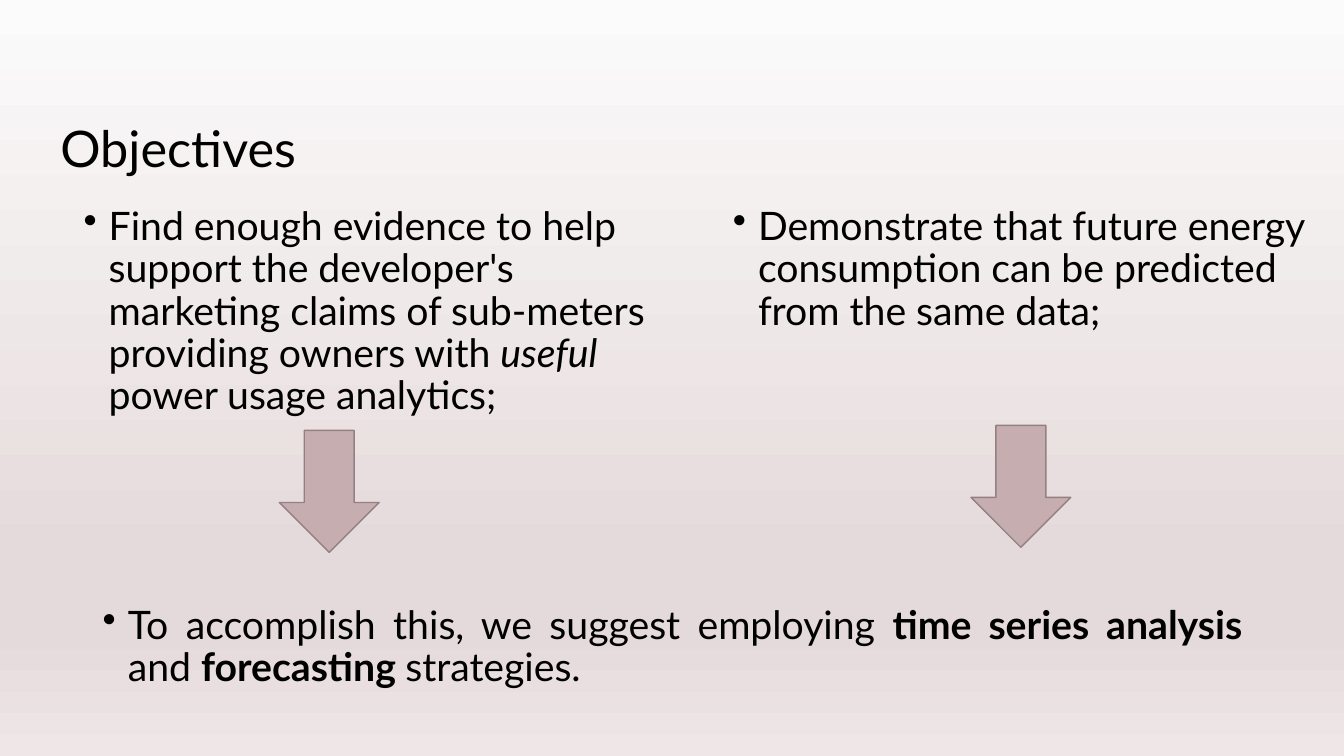
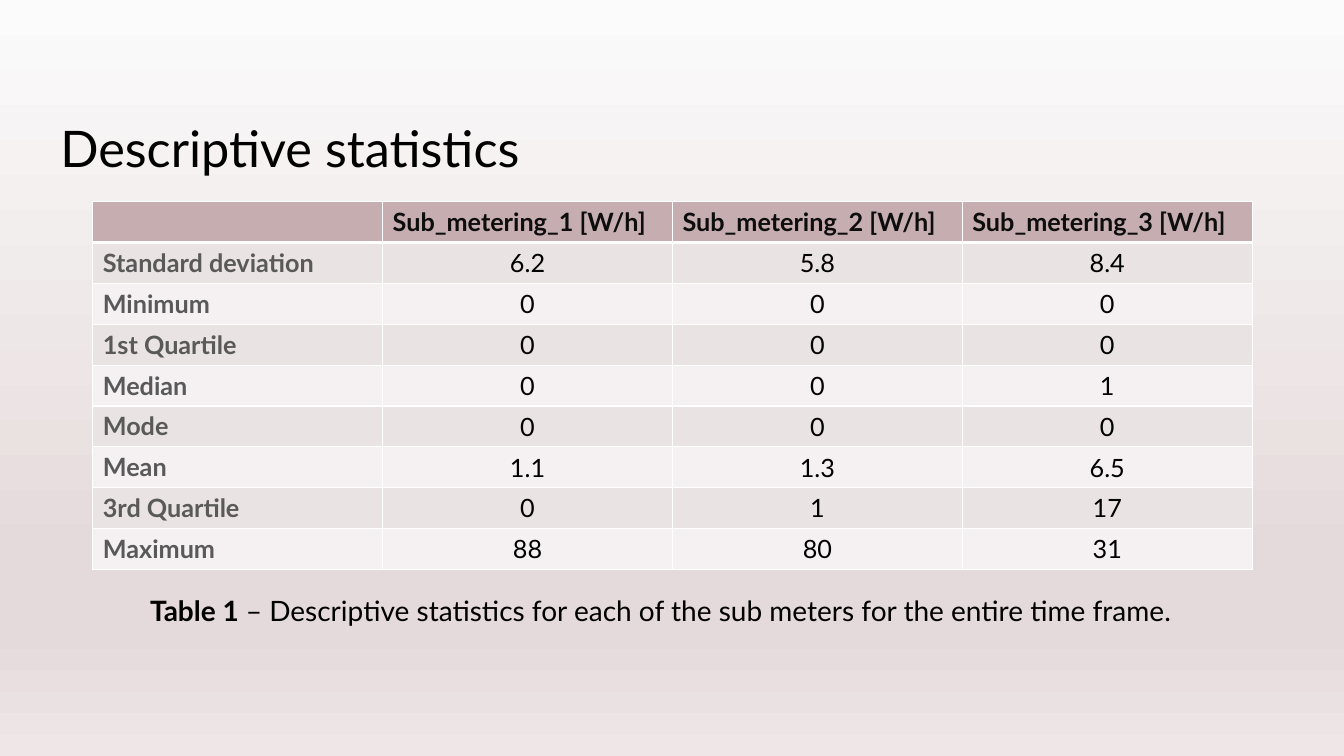
import pptx
import pptx.util
import pptx.dml.color
import pptx.enum.shapes
import pptx.enum.text
import pptx.oxml
import pptx.oxml.ns
from dataclasses import dataclass

Inches = pptx.util.Inches
Pt = pptx.util.Pt
Align = pptx.enum.text.PP_ALIGN
Anchor = pptx.enum.text.MSO_ANCHOR
NS = pptx.oxml.ns.nsdecls("a")


@dataclass(frozen=True)
class Theme:
    font: str = "Lato"
    ink: str = "000000"
    head: str = "0D0D0D"
    label: str = "595959"
    rose: str = "C6ADB0"
    edge: str = "928082"
    bands: tuple = ("EAE3E4", "F5F1F2")
    rule: str = "FFFFFF"
    back: tuple = ((0, "FCFBFB"), (74, "E5DADB"), (83, "E5DADB"), (100, "EEE6E7"))
    title: int = 36
    body: int = 28
    note: int = 20
    cell: int = 18


theme = Theme()


def rgb(code):
    return pptx.dml.color.RGBColor.from_string(code)


def write(frame, *runs, size, color=theme.ink, bold=False, align=Align.LEFT,
          anchor=Anchor.TOP, lead=1, bullet=False):
    frame.word_wrap = True
    frame.vertical_anchor = anchor
    para = frame.paragraphs[0]
    para.alignment = align
    para.line_spacing = lead
    for text, style in runs:
        run = para.add_run()
        run.text = text
        font = run.font
        font.name = theme.font
        font.size = Pt(size)
        font.color.rgb = rgb(color)
        font.bold = bold or style == "b"
        font.italic = style == "i"
    if bullet:
        para.space_before = Pt(10)
        props = para._p.get_or_add_pPr()
        props.set("marL", str(Inches(0.25)))
        props.set("indent", str(-Inches(0.25)))
        props.append(pptx.oxml.parse_xml(f'<a:buChar {NS} char="•"/>'))


def add_text(slide, box, *runs, **style):
    shape = slide.shapes.add_textbox(*map(Inches, box))
    write(shape.text_frame, *runs, **style)


def add_point(slide, box, *runs, align=Align.LEFT):
    add_text(slide, box, *runs, size=theme.body, lead=0.9, bullet=True, align=align)


def add_arrow(slide, left, top):
    kind = pptx.enum.shapes.MSO_SHAPE.DOWN_ARROW
    arrow = slide.shapes.add_shape(kind, *map(Inches, (left, top, 0.99, 1.21)))
    arrow.shadow.inherit = False
    arrow.fill.solid()
    arrow.fill.fore_color.rgb = rgb(theme.rose)
    arrow.line.color.rgb = rgb(theme.edge)
    arrow.line.width = Pt(1)


def set_edges(cell, top=1, bottom=1):
    props = cell._tc.get_or_add_tcPr()
    widths = {"L": 1, "R": 1, "T": top, "B": bottom}
    for spot, (side, width) in enumerate(widths.items()):
        props.insert(spot, pptx.oxml.parse_xml(
            f'<a:ln{side} {NS} w="{Pt(width)}"><a:solidFill>'
            f'<a:srgbClr val="{theme.rule}"/></a:solidFill></a:ln{side}>'))


def add_grid(slide, box, rows):
    shape = slide.shapes.add_table(len(rows), len(rows[0]), *map(Inches, box))
    table = shape.table
    table.first_row = table.horz_banding = False
    for r, row in enumerate(rows):
        for c, text in enumerate(row):
            cell = table.cell(r, c)
            cell.fill.solid()
            cell.fill.fore_color.rgb = rgb(theme.bands[(r - 1) % 2] if r else theme.rose)
            set_edges(cell, top=3 if r == 1 else 1, bottom=1 if r else 3)
            if not text:
                continue
            value = r > 0 and c > 0
            color = theme.ink if value else theme.label if r else theme.head
            write(cell.text_frame, (text, ""), size=theme.cell, color=color,
                  bold=not value, align=Align.CENTER if value else Align.LEFT)
            cell.vertical_anchor = Anchor.MIDDLE if value else Anchor.TOP


def set_back(master):
    fill = master.background.fill
    fill.gradient()
    fill.gradient_angle = 270
    stops = master.element.find(".//" + pptx.oxml.ns.qn("a:gsLst"))
    for stop in list(stops):
        stops.remove(stop)
    for place, color in theme.back:
        stops.append(pptx.oxml.parse_xml(
            f'<a:gs {NS} pos="{place * 1000}"><a:srgbClr val="{color}"/></a:gs>'))


def add_slide(deck, title):
    slide = deck.slides.add_slide(deck.slide_layouts[6])
    add_text(slide, (0.5, 1, 12.22, 0.99), (title, ""), size=theme.title,
             anchor=Anchor.MIDDLE, lead=0.9)
    return slide


def add_goals(deck):
    slide = add_slide(deck, "Objectives")
    add_point(slide, (0.73, 2, 6.25, 2.22),
              ("Find enough evidence to help support the developer's marketing claims "
               "of sub-meters providing owners with ", ""),
              ("useful", "i"), (" power usage analytics;", ""))
    add_point(slide, (7.17, 2, 5.91, 1.37),
              ("Demonstrate that future energy consumption can be predicted "
               "from the same data;", ""))
    add_arrow(slide, 2.77, 4.27)
    add_arrow(slide, 9.63, 4.22)
    add_point(slide, (0.92, 5.96, 11.5, 0.94),
              ("To accomplish this, we suggest employing ", ""),
              ("time series analysis ", "b"), ("and ", ""),
              ("forecasting ", "b"), ("strategies.", ""), align=Align.JUSTIFY)


def add_stats(deck):
    slide = add_slide(deck, "Descriptive statistics")
    meters = [f"Sub_metering_{n} [W/h]" for n in (1, 2, 3)]
    add_grid(slide, (0.92, 2, 11.5, 3.65), [
        ("", *meters),
        ("Standard deviation", "6.2", "5.8", "8.4"),
        ("Minimum", "0", "0", "0"),
        ("1st Quartile", "0", "0", "0"),
        ("Median", "0", "0", "1"),
        ("Mode", "0", "0", "0"),
        ("Mean", "1.1", "1.3", "6.5"),
        ("3rd Quartile", "0", "1", "17"),
        ("Maximum", "88", "80", "31"),
    ])
    add_text(slide, (1.39, 5.84, 10.44, 0.44), ("Table 1 ", "b"),
             ("– Descriptive statistics for each of the sub meters "
              "for the entire time frame.", ""), size=theme.note)


deck = pptx.Presentation()
deck.slide_width = Inches(13.33)
deck.slide_height = Inches(7.5)
set_back(deck.slide_master)
add_goals(deck)
add_stats(deck)
deck.save("out.pptx")
